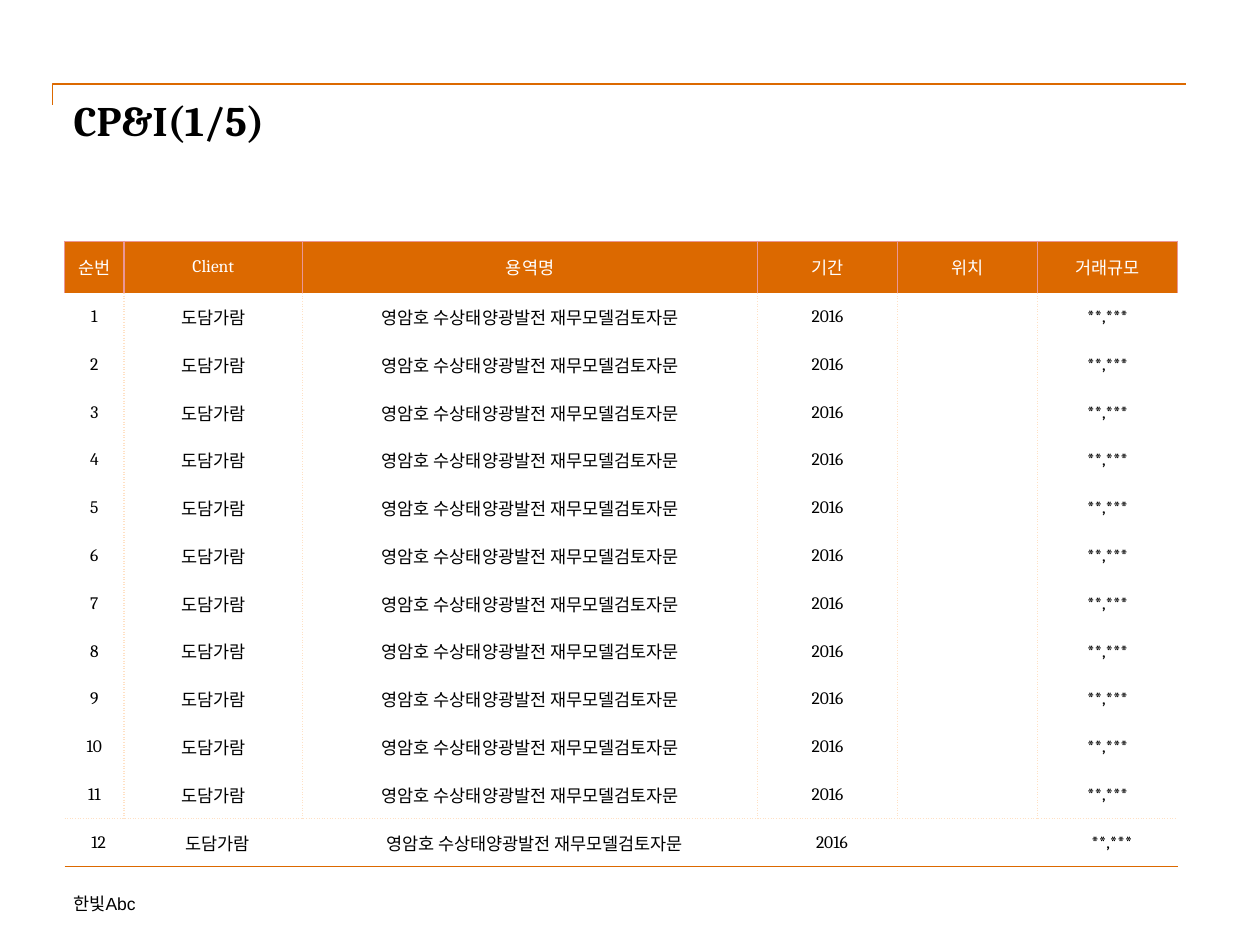
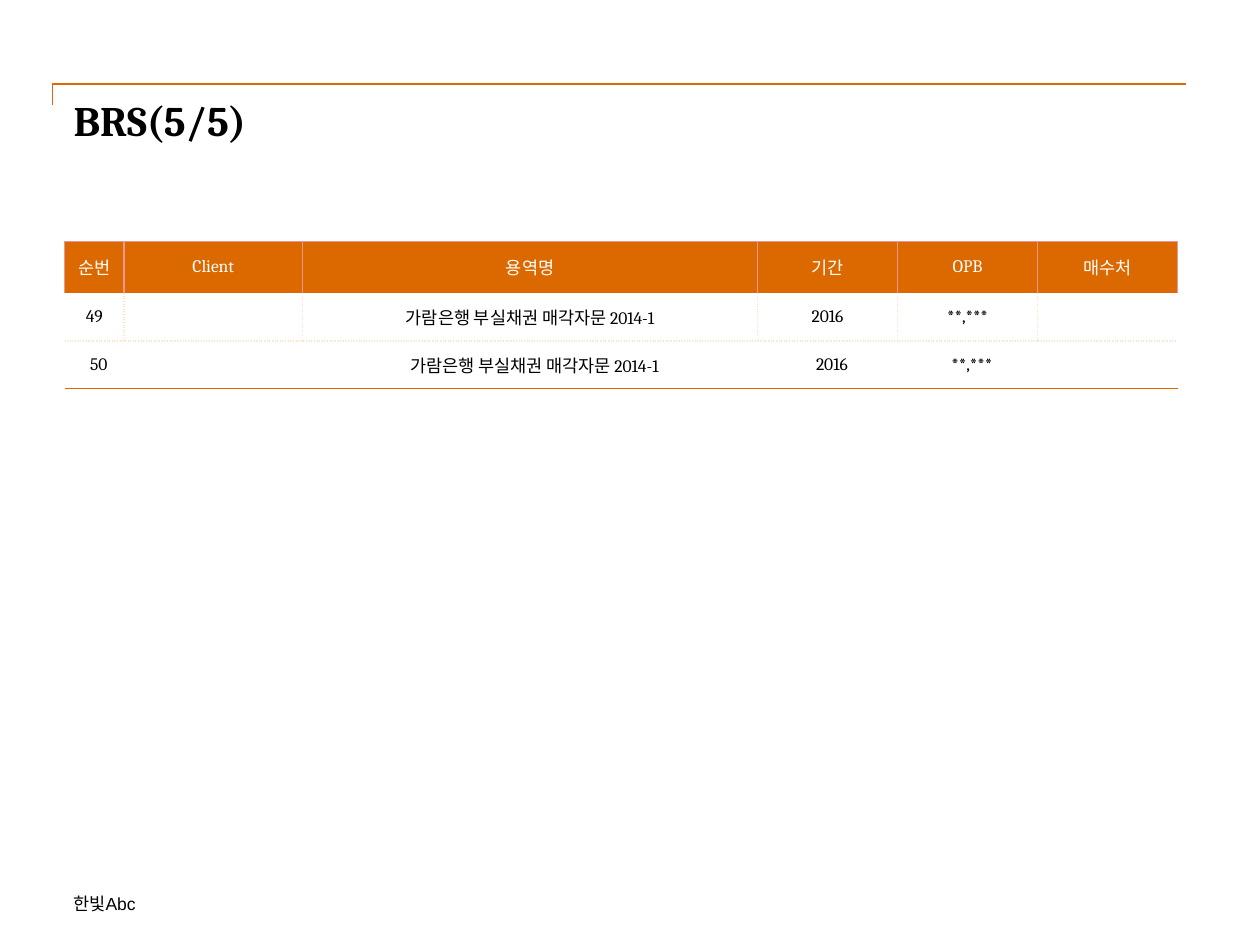
from lxml import etree
from pptx import Presentation
from pptx.dml.color import RGBColor
from pptx.enum.shapes import MSO_CONNECTOR
from pptx.enum.text import MSO_ANCHOR, MSO_AUTO_SIZE, PP_ALIGN
from pptx.oxml.ns import qn
from pptx.util import Pt

ELBOW = MSO_CONNECTOR.ELBOW
TOP, MIDDLE = MSO_ANCHOR.TOP, MSO_ANCHOR.MIDDLE
LEFT, CENTER = PP_ALIGN.LEFT, PP_ALIGN.CENTER
NO_AUTOFIT = MSO_AUTO_SIZE.NONE

ORANGE, PINK, PEACH = "DC6900", "EA9696", "FFE1C5"
BLACK, WHITE = "000000", "FFFFFF"
HEADING_FONT, FOOTER_FONT = "Cambria", "Arial"
PLAIN_TABLE_STYLE = "{2D5ABB26-0587-4C30-8999-92F81FD0307C}"

TITLE_ONLY_LAYOUT = 5
RULE_BOX = (30, 48, 648, 12)
TITLE_BOX = (42, 54, 636, 72)
TABLE_BOX = (36.9, 138)
FOOTER_BOX = (42, 510, 204, 12)
COLUMN_WIDTHS = (34, 102, 260, 80, 80, 80)
HEADER_HEIGHT, ROW_HEIGHT = 29.5, 27.3
HEADER_INSET = 3
LAST_ROW_INDENT = 5
FOOTER_TEXT = "한빛Abc"

HEADER_BORDERS = {"L": (PINK, "solid"), "R": (PINK, "solid"), "T": (PINK, "solid")}
DOTTED = (PEACH, "sysDot")
LAST_ROW_BORDERS = {"T": DOTTED, "B": (ORANGE, "solid")}

PROJECT_HEADERS = ("순번", "Client", "용역명", "기간", "위치", "거래규모")
PROJECT_ROWS = [
    (str(number), "도담가람", "영암호 수상태양광발전 재무모델검토자문", "2016", "", "**,***")
    for number in range(1, 13)
]
LOAN_HEADERS = ("순번", "Client", "용역명", "기간", "OPB", "매수처")
LOAN_ROWS = [
    (str(number), "", "가람은행 부실채권 매각자문 2014-1", "2016", "**,***", "")
    for number in (49, 50)
]


def color(hex_text):
    return RGBColor.from_string(hex_text)


def write_text(frame, text, size=10, font=HEADING_FONT, fill=BLACK,
               bold=False, align=LEFT, indent=0):
    paragraph = frame.paragraphs[0]
    paragraph.alignment = align
    if indent:
        paragraph._p.get_or_add_pPr().set("marL", str(Pt(indent)))
    paragraph.font.size = Pt(size)
    if text:
        run = paragraph.add_run()
        run.text = text
        run.font.size = Pt(size)
        run.font.name = font
        run.font.bold = bold
        run.font.color.rgb = color(fill)


def clear_insets(frame):
    frame.margin_left = frame.margin_right = 0
    frame.margin_top = frame.margin_bottom = 0
    frame.word_wrap = True
    frame.auto_size = NO_AUTOFIT
    frame.vertical_anchor = TOP


def add_corner_rule(slide, box):
    left, top, width, height = box
    center_x, center_y = left + width / 2, top + height / 2
    connector = slide.shapes.add_connector(
        ELBOW,
        Pt(center_x + height / 2), Pt(center_y + width / 2),
        Pt(center_x - height / 2), Pt(center_y - width / 2))
    connector.line.color.rgb = color(ORANGE)
    connector.line.width = Pt(1)
    properties = connector._element.spPr
    properties.find(qn("a:xfrm")).set("rot", str(90 * 60000))
    properties.find(qn("a:prstGeom")).set("prst", "bentConnector2")
    etree.SubElement(properties, qn("a:effectLst"))


def set_title(slide, box, text):
    title = slide.shapes.title
    title.left, title.top, title.width, title.height = map(Pt, box)
    clear_insets(title.text_frame)
    write_text(title.text_frame, text, size=24, bold=True)


def add_footer(slide, box):
    footer = slide.shapes.add_textbox(*map(Pt, box))
    clear_insets(footer.text_frame)
    write_text(footer.text_frame, FOOTER_TEXT, font=FOOTER_FONT)


def set_borders(cell, borders):
    properties = cell._tc.get_or_add_tcPr()
    for side in "LRTB":
        line = etree.SubElement(properties, qn(f"a:ln{side}"), w=str(Pt(1)))
        if side in borders:
            hex_text, dash = borders[side]
            fill = etree.SubElement(line, qn("a:solidFill"))
            etree.SubElement(fill, qn("a:srgbClr"), val=hex_text)
            etree.SubElement(line, qn("a:prstDash"), val=dash)
        else:
            etree.SubElement(line, qn("a:noFill"))


def format_cell(cell, text, borders, inset=0, background=None, **text_format):
    set_borders(cell, borders)
    if background:
        cell.fill.solid()
        cell.fill.fore_color.rgb = color(background)
    else:
        cell.fill.background()
    cell.margin_left = cell.margin_right = Pt(inset)
    cell.margin_top = cell.margin_bottom = Pt(inset)
    cell.vertical_anchor = MIDDLE
    write_text(cell.text_frame, text, align=CENTER, **text_format)


def body_borders(column, is_next_to_last):
    borders = {}
    if column > 0:
        borders["L"] = DOTTED
    if column < len(COLUMN_WIDTHS) - 1:
        borders["R"] = DOTTED
    if is_next_to_last:
        borders["B"] = DOTTED
    return borders


def add_record_table(slide, box, headers, records):
    left, top = box
    height = HEADER_HEIGHT + ROW_HEIGHT * len(records)
    frame = slide.shapes.add_table(
        len(records) + 1, len(headers),
        Pt(left), Pt(top), Pt(sum(COLUMN_WIDTHS)), Pt(height))
    frame._element.xpath(".//a:tableStyleId")[0].text = PLAIN_TABLE_STYLE
    table = frame.table
    table.first_row = table.horz_banding = False
    for column, width in zip(table.columns, COLUMN_WIDTHS):
        column.width = Pt(width)
    for row in table.rows:
        row.height = Pt(ROW_HEIGHT)
    table.rows[0].height = Pt(HEADER_HEIGHT)

    for column, text in enumerate(headers):
        format_cell(table.cell(0, column), text, HEADER_BORDERS,
                    inset=HEADER_INSET, background=ORANGE, fill=WHITE)
    last = len(records)
    for row, record in enumerate(records, start=1):
        for column, text in enumerate(record):
            cell = table.cell(row, column)
            if row == last:
                format_cell(cell, text, LAST_ROW_BORDERS, indent=LAST_ROW_INDENT)
            else:
                format_cell(cell, text, body_borders(column, row == last - 1))


def add_record_slide(presentation, title, headers, records):
    slide = presentation.slides.add_slide(presentation.slide_layouts[TITLE_ONLY_LAYOUT])
    add_corner_rule(slide, RULE_BOX)
    add_footer(slide, FOOTER_BOX)
    set_title(slide, TITLE_BOX, title)
    add_record_table(slide, TABLE_BOX, headers, records)


def main():
    presentation = Presentation()
    presentation.slide_width, presentation.slide_height = Pt(720), Pt(540)
    add_record_slide(presentation, "CP&I(1/5)", PROJECT_HEADERS, PROJECT_ROWS)
    add_record_slide(presentation, "BRS(5/5)", LOAN_HEADERS, LOAN_ROWS)
    presentation.save("out.pptx")


if __name__ == "__main__":
    main()
